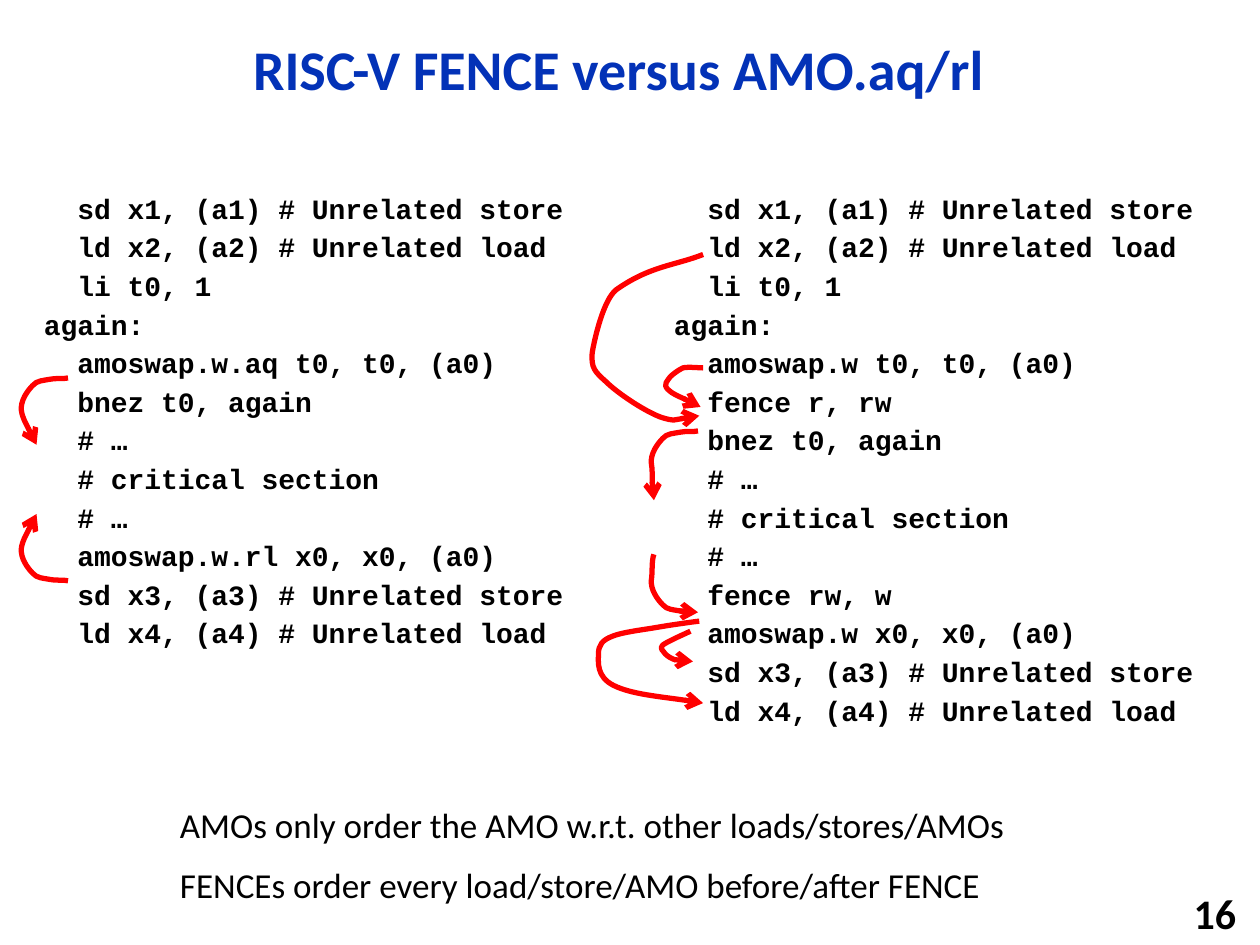
from lxml.etree import SubElement
from pptx import Presentation
from pptx.dml.color import RGBColor
from pptx.enum.text import MSO_ANCHOR, PP_ALIGN
from pptx.oxml.ns import qn
from pptx.util import Inches, Pt

BLUE = RGBColor(0x03, 0x32, 0xB7)
BLACK = RGBColor(0, 0, 0)
RED = RGBColor(0xFF, 0, 0)

# Content
TITLE = "RISC-V FENCE versus AMO.aq/rl"
PAGE_NUMBER = "16"
NOTES = [
    "AMOs only order the AMO w.r.t. other loads/stores/AMOs",
    "FENCEs order every load/store/AMO before/after FENCE",
]
BEFORE = ["sd x1, (a1) # Unrelated store", "ld x2, (a2) # Unrelated load",
          "li t0, 1", "again:"]
CRITICAL = ["bnez t0, again", "# …", "# critical section", "# …"]
AFTER = ["sd x3, (a3) # Unrelated store", "ld x4, (a4) # Unrelated load"]
LISTINGS = [
    BEFORE + ["amoswap.w.aq t0, t0, (a0)"] + CRITICAL
    + ["amoswap.w.rl x0, x0, (a0)"] + AFTER,
    BEFORE + ["amoswap.w t0, t0, (a0)", "fence r, rw"] + CRITICAL
    + ["fence rw, w", "amoswap.w x0, x0, (a0)"] + AFTER,
]

# Code columns: left edge, spacing, top, width, height
COLUMN_LEFT, COLUMN_STEP = 0.25, 5
COLUMN_TOP, COLUMN_WIDTH, COLUMN_HEIGHT = 1.5, 4.5, 4.17
CODE_INDENT = 2 * 0.6 * 16 / 72  # two monospaced characters at 16 pt

# Hook arrows share one bend, measured from its start, and differ in the tail
BEND = [(0, 0), (-0.04, 0.01), (-0.1, 0), (-0.14, 0.01),
        (-0.19, 0.02), (-0.25, 0.02), (-0.28, 0.06),
        (-0.32, 0.1), (-0.38, 0.18), (-0.37, 0.26)]
SLANTED = [(-0.36, 0.32), (-0.28, 0.47), (-0.25, 0.53)]
UPRIGHT = [(-0.36, 0.31), (-0.37, 0.49), (-0.35, 0.55)]
SHORT = [(-0.36, 0.31), (-0.37, 0.41), (-0.35, 0.46)]
# start x, start y, direction (1 down, -1 up), tail, arrowhead end
HOOKS = [
    (0.54, 3.0, 1, SLANTED, "tailEnd"),
    (0.54, 4.61, -1, SLANTED, "tailEnd"),
    (5.54, 3.42, 1, UPRIGHT, "tailEnd"),
    (5.54, 4.86, -1, SHORT, "headEnd"),
]
# Loops around the fences: start, then three points for each curve
LOOPS = [
    ("tailEnd", [(5.58, 2.92), (5.55, 2.92), (5.46, 2.91), (5.42, 2.92),
                 (5.38, 2.94), (5.34, 2.97), (5.32, 2.99),
                 (5.3, 3.02), (5.26, 3.05), (5.3, 3.09),
                 (5.34, 3.13), (5.51, 3.2), (5.56, 3.23)]),
    ("tailEnd", [(5.58, 2.02), (5.35, 2.11), (5.16, 2.11), (4.89, 2.3),
                 (4.79, 2.38), (4.72, 2.68), (4.7, 2.8),
                 (4.69, 2.92), (4.72, 2.95), (4.81, 3.03),
                 (4.9, 3.12), (5.11, 3.26), (5.24, 3.31),
                 (5.36, 3.35), (5.53, 3.3), (5.55, 3.3)]),
    ("headEnd", [(5.5, 5.25), (5.47, 5.25), (5.4, 5.25), (5.37, 5.24),
                 (5.33, 5.23), (5.3, 5.21), (5.28, 5.19),
                 (5.27, 5.17), (5.23, 5.15), (5.26, 5.12),
                 (5.3, 5.09), (5.44, 5.03), (5.48, 5.01)]),
    ("headEnd", [(5.58, 5.58), (5.35, 5.54), (5.01, 5.51), (4.87, 5.44),
                 (4.73, 5.37), (4.75, 5.25), (4.75, 5.19),
                 (4.75, 5.12), (4.78, 5.08), (4.86, 5.05),
                 (4.93, 5.02), (5.09, 5), (5.21, 4.98),
                 (5.32, 4.96), (5.54, 4.93), (5.55, 4.93)]),
]


def add_text(page, lines, place, size, font="Calibri", color=BLACK, bold=False,
             align=PP_ALIGN.LEFT, anchor=MSO_ANCHOR.TOP, spacing=None,
             before=0, indent=0):
    """Write lines in a box; before is a percentage, labels stay unindented."""
    box = page.shapes.add_textbox(*(Inches(length) for length in place))
    frame = box.text_frame
    frame.word_wrap = True
    frame.vertical_anchor = anchor
    for index, line in enumerate(lines):
        para = frame.add_paragraph() if index else frame.paragraphs[0]
        para.alignment = align
        if spacing:
            para.line_spacing = spacing
        properties = para._p.get_or_add_pPr()
        if before:
            para.space_before = Pt(0)
            gap = properties.find(qn("a:spcBef"))
            gap.remove(gap[0])
            SubElement(gap, qn("a:spcPct"), val=str(before * 1000))
        if indent and not line.endswith(":"):
            properties.set("marL", str(Inches(indent)))
        span = para.add_run()
        span.text = line
        span.font.name = font
        span.font.size = Pt(size)
        span.font.bold = bold
        span.font.color.rgb = color


def add_curve(page, points, arrow_end):
    """Draw a red open curve: a start, then three points for each Bezier."""
    start, *rest = [(Inches(x), Inches(y)) for x, y in points]
    builder = page.shapes.build_freeform(*start)
    builder.add_line_segments(rest, close=False)
    curve = builder.convert_to_shape()
    curve.shadow.inherit = False
    curve.fill.background()
    curve.line.color.rgb = RED
    curve.line.width = Pt(3)

    # Turn every three straight segments into one cubic curve
    outline = curve._element.find(".//" + qn("a:path"))
    segments = outline.findall(qn("a:lnTo"))
    for first in range(0, len(segments), 3):
        cubic = SubElement(outline, qn("a:cubicBezTo"))
        for segment in segments[first:first + 3]:
            cubic.append(segment[0])
            outline.remove(segment)

    SubElement(curve.line._get_or_add_ln(), qn("a:" + arrow_end), type="arrow")


def main():
    deck = Presentation()
    deck.slide_width, deck.slide_height = Inches(10), Inches(7.5)
    page = deck.slides.add_slide(deck.slide_layouts[6])

    # Title and page number
    add_text(page, [TITLE], (0.92, 0.17, 7.98, 0.81), 32, color=BLUE, bold=True,
             align=PP_ALIGN.CENTER, anchor=MSO_ANCHOR.MIDDLE, spacing=0.9)
    add_text(page, [PAGE_NUMBER], (7.83, 7.08, 2.08, 0.32), 24, bold=True,
             align=PP_ALIGN.RIGHT, anchor=MSO_ANCHOR.MIDDLE)

    # Code columns
    for column, listing in enumerate(LISTINGS):
        left = COLUMN_LEFT + column * COLUMN_STEP
        add_text(page, listing, (left, COLUMN_TOP, COLUMN_WIDTH, COLUMN_HEIGHT),
                 16, font="Courier New", bold=True, spacing=0.9, before=30,
                 indent=CODE_INDENT)

    # Ordering arrows
    for x, y, direction, tail, arrow_end in HOOKS:
        points = [(x + dx, y + direction * dy) for dx, dy in BEND + tail]
        add_curve(page, points, arrow_end)
    for arrow_end, points in LOOPS:
        add_curve(page, points, arrow_end)

    # Closing notes
    add_text(page, NOTES, (1.33, 6.33, 6.88, 0.94), 20, before=50)

    deck.save("out.pptx")


if __name__ == "__main__":
    main()
